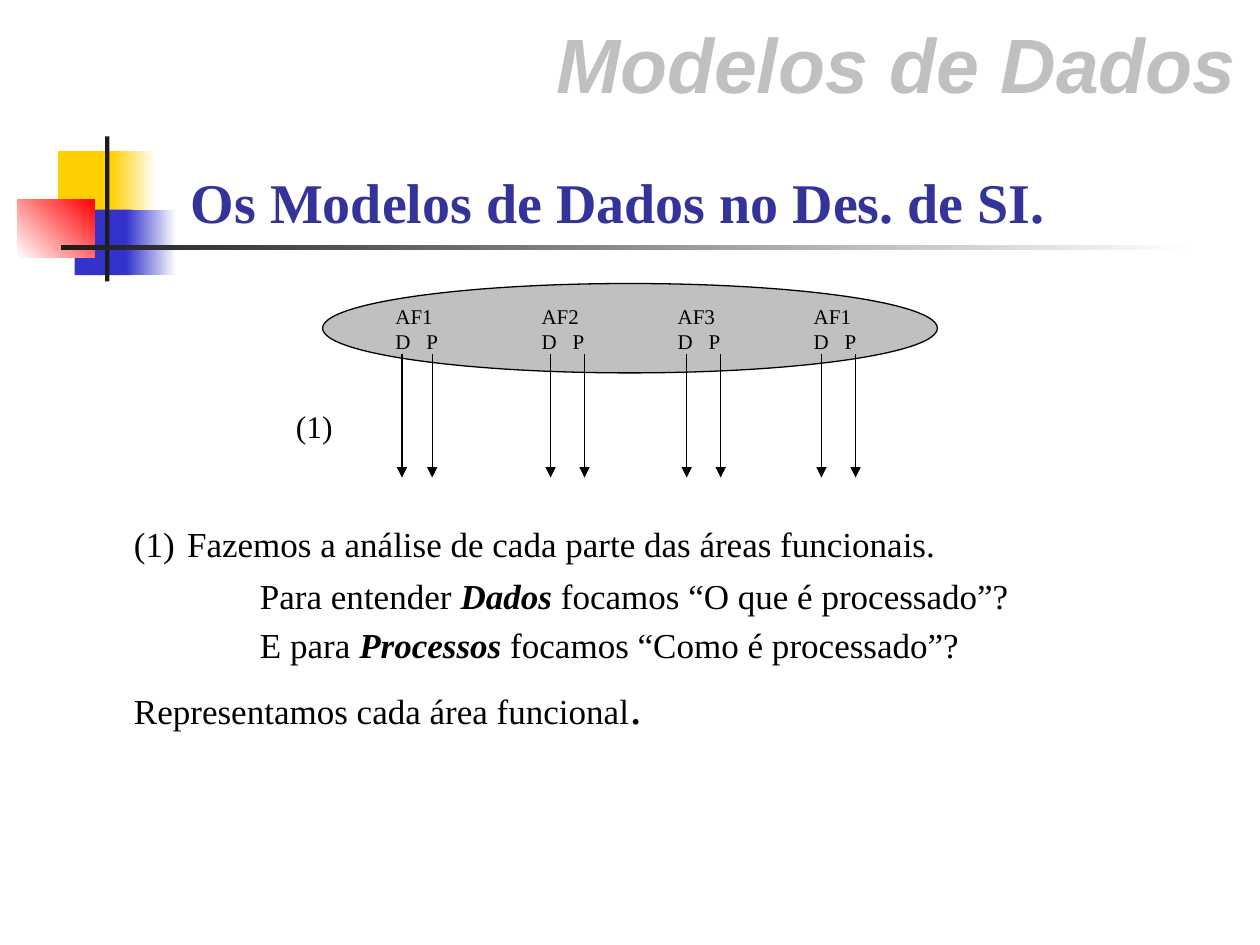
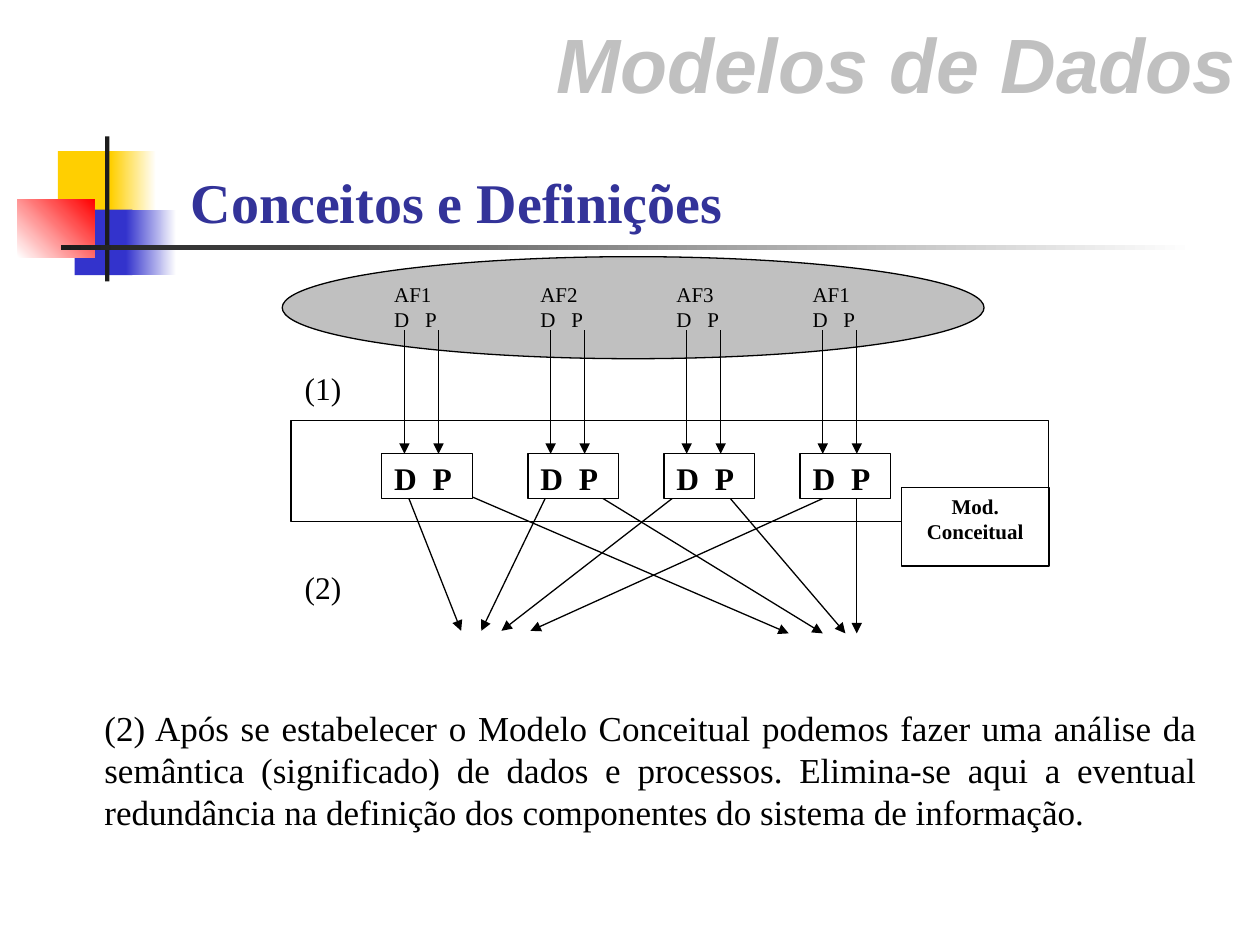
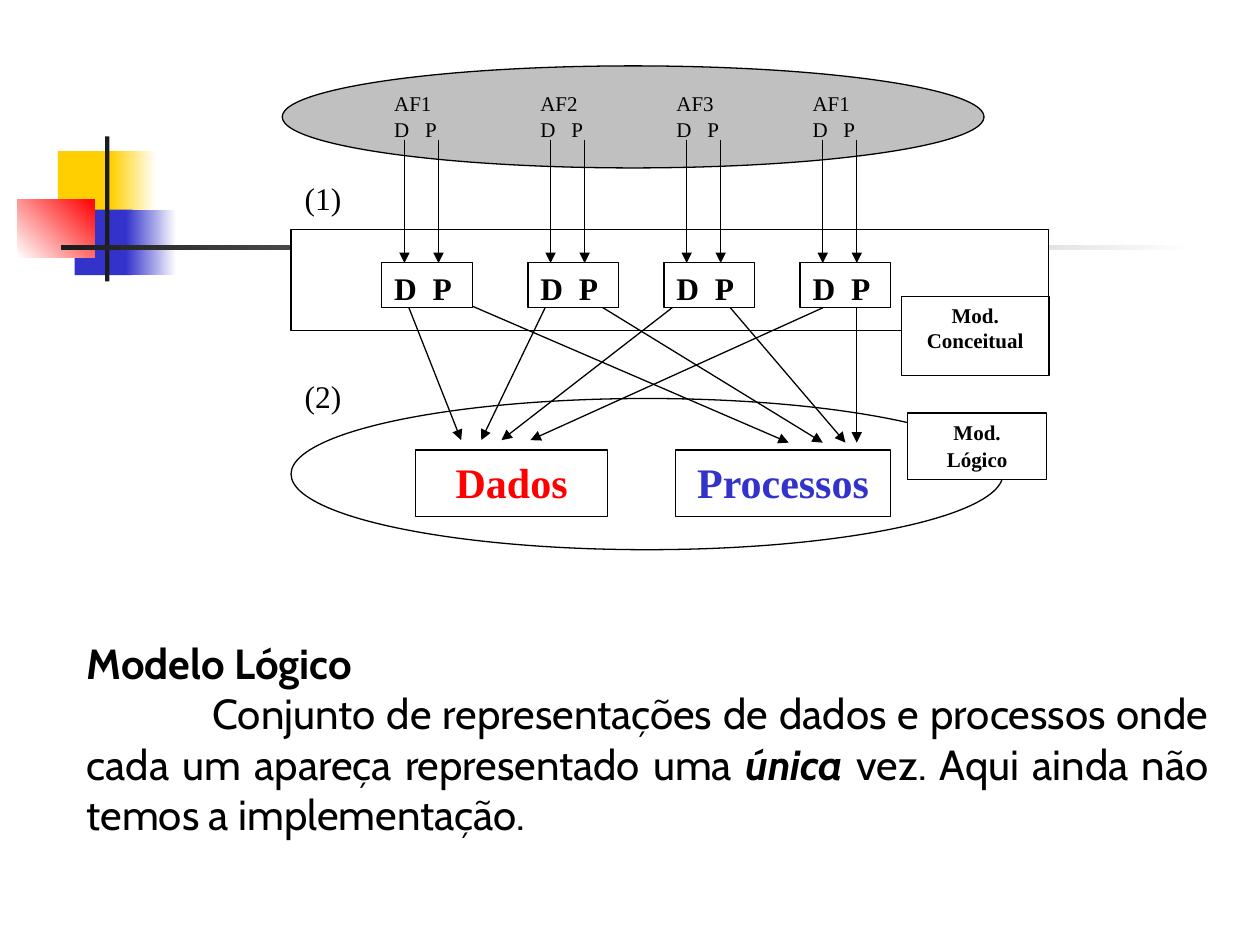
from lxml.etree import SubElement
from pptx import Presentation
from pptx.dml.color import RGBColor
from pptx.enum.shapes import MSO_CONNECTOR, MSO_SHAPE
from pptx.enum.text import MSO_ANCHOR, PP_ALIGN
from pptx.oxml.ns import qn
from pptx.util import Inches, Pt

HUES = {
    "white": "FFFFFF", "black": "000000", "gold": "FFCF01", "blue": "3333CC",
    "red": "FF0000", "ink": "1C1C1C", "gray": "C0C0C0", "navy": "333399",
}
COLS, ROWS = 100, 75
SERIF = "Times New Roman"
AREAS = ("AF1", "AF2", "AF3", "AF1")
STEPS = (0, 11.6, 22.4, 33.2)


def hue(name):
    return RGBColor.from_string(HUES[name])


def pair(gap):
    return [("D", {}), (" ", {"gap": gap}), ("P", {})]


def write(frame, text, font=SERIF, size=12, color="black", bold=False, slant=False,
          align=PP_ALIGN.LEFT, left=0, first=0, before=0):
    lines = text.split("\n") if isinstance(text, str) else [text]
    for line in lines:
        para = frame.paragraphs[-1]
        if para.runs:
            para = frame.add_paragraph()
            para.space_before = Pt(before)
        para.alignment = align
        props = para._p.get_or_add_pPr()
        props.set("marL", str(Inches(left)))
        props.set("indent", str(Inches(first)))
        for words, own in [(line, {})] if isinstance(line, str) else line:
            run = para.add_run()
            run.text = words
            run.font.name = font
            run.font.size = Pt(own.get("size", size))
            run.font.bold = own.get("bold", bold)
            run.font.italic = own.get("slant", slant)
            run.font.color.rgb = hue(color)
            if "gap" in own:
                run._r.get_or_add_rPr().set("spc", str(round(own["gap"] * 100)))


class Deck:
    def __init__(self):
        self.show = Presentation()
        self.show.slide_width, self.show.slide_height = Inches(10), Inches(7.5)
        self.col = self.show.slide_width / COLS
        self.row = self.show.slide_height / ROWS

    def place(self, x, y, *size):
        units = (self.col, self.row) * 2
        return [round(n * unit) for n, unit in zip((x, y, *size), units)]

    def page(self, title=None):
        self.slide = self.show.slides.add_slide(self.show.slide_layouts[6])
        self.block((4.6, 12, 4.8, 5.2), "gold")
        self.block((8.8, 12, 3.6, 5.2), "gold", "white")
        self.block((5.92, 16.64, 4.6, 5.2), "blue")
        self.block((10, 16.64, 4, 5.2), "blue", "white")
        self.block((1.4, 15.8, 6.1, 4.65), "white", "red", angle=45)
        self.block((8.34, 10.83, 0.35, 11.5), "ink")
        self.block((4.83, 19.48, 90, 0.35), "ink", "white")
        if title:
            self.text((14.2, 1.65, 84.95, 7.5), "Modelos de Dados", low=True, font="Arial", size=44,
                      color="gray", bold=True, slant=True, align=PP_ALIGN.RIGHT)
            self.text((14.15, 13.35, 85.8, 5.8), title, low=True, size=32, color="navy", bold=True)

    def block(self, box, fill, fade=None, angle=0, line=False, kind=MSO_SHAPE.RECTANGLE):
        shape = self.slide.shapes.add_shape(kind, *self.place(*box))
        shape.shadow.inherit = False
        if fade:
            shape.fill.gradient()
            shape.fill.gradient_angle = angle
            for stop, name in zip(shape.fill.gradient_stops, (fill, fade)):
                stop.color.rgb = hue(name)
        else:
            shape.fill.solid()
            shape.fill.fore_color.rgb = hue(fill)
        if line:
            shape.line.color.rgb = hue("black")
            shape.line.width = Pt(0.75)
        else:
            shape.line.fill.background()
        return shape

    def oval(self, box, fill):
        self.block(box, fill, line=True, kind=MSO_SHAPE.OVAL)

    def card(self, box, text, **form):
        frame = self.block(box, "white", line=True).text_frame
        frame.word_wrap = True
        frame.vertical_anchor = MSO_ANCHOR.TOP
        write(frame, text, bold=True, **form)

    def text(self, box, text, low=False, **form):
        frame = self.slide.shapes.add_textbox(*self.place(*box)).text_frame
        frame.word_wrap = True
        frame.vertical_anchor = MSO_ANCHOR.BOTTOM if low else MSO_ANCHOR.TOP
        write(frame, text, **form)
        return frame

    def arrow(self, start, end):
        ends = self.place(*start) + self.place(*end)
        link = self.slide.shapes.add_connector(MSO_CONNECTOR.STRAIGHT, *ends)
        link.line.color.rgb = hue("black")
        link.line.width = Pt(0.75)
        props = link._element.spPr
        SubElement(props.find(qn("a:ln")), qn("a:tailEnd"), type="triangle")
        SubElement(props, qn("a:effectLst"))

    def areas(self, x, y):
        for step, name in zip(STEPS, AREAS):
            frame = self.text((x + step, y, 7.2, 7.1), name)
            write(frame, pair(6))

    def drops(self, spots, y):
        for x in spots:
            self.arrow((x, y), (x, y + 9.8))

    def mark(self, x, y, text):
        self.text((x, y, 5.8, 4), text, size=18)

    def flow(self, top, logic=False):
        data = [32.1 + step for step in STEPS]
        acts = [x + 2.7 for x in data]
        self.oval((22.4, top, 55.7, 8.1), "gray")
        self.areas(30.3, top + 1.5)
        self.block((23.1, top + 13, 60.1, 8), "white", line=True)
        self.drops(data + acts, top + 5.85)
        self.card((71.55, top + 18.3, 11.7, 6.25), "Mod.\nConceitual", align=PP_ALIGN.CENTER)
        if logic:
            self.oval((23.1, top + 26.4, 56.5, 12), "white")
            for x, wide, name, color in ((33, 15.2, "Dados", "red"), (53.6, 17.1, "Processos", "blue")):
                self.card((x, top + 30.5, wide, 5.3), name, size=24, color=color, align=PP_ALIGN.CENTER)
        for x, end in zip(data, (36.6, 38.2, 39.8, 42.1)):
            self.arrow((x, top + (19.2 if x == data[-1] else 18.3)), (end, top + 29.7))
        for x, end in zip((35.7, *acts[1:]), (62.6, 65.3, 67.1, 68)):
            self.arrow((x, top + 18.3), (end, top + 29.9))
        for step in STEPS:
            self.card((30.3 + step, top + 15.6, 7.2, 3.6), pair(4.5), size=18)
        self.mark(23.2, top + 8.45, "(1)")
        self.mark(23.2, top + 24.2, "(2)")
        if logic:
            self.card((72.05, top + 27.55, 11, 5.3), "Mod.\nLógico", align=PP_ALIGN.CENTER, before=1)


def first(deck):
    deck.page("Os Modelos de Dados no Des. de SI.")
    deck.oval((25.6, 22.5, 48.8, 7.1), "gray")
    deck.areas(30.4, 23.6)
    deck.drops((31.9, 34.3, 43.7, 46.4, 54.5, 57.2, 65.2, 67.9), 28.1)
    deck.mark(22.5, 31.8, "(1)")
    strong = {"bold": True, "slant": True}
    large = {"size": 28}
    body = deck.text((5.85, 39.9, 92.5, 31.9), [
        ("(1)", {}), (" ", large), ("Fazemos a análise de cada parte das áreas funcionais.", {}),
    ], size=20, left=0.38)
    for lead, key, rest in (
        ("Para entender ", "Dados", " focamos “O que é processado”?"),
        ("E para ", "Processos", " focamos “Como é processado”?"),
    ):
        write(body, [(lead, {}), (key, strong), (rest, {})], size=20, left=1.38, before=4)
    write(body, [("Representamos cada área funcional", {}), (".", large)],
          size=20, left=0.38, before=5.5)


def second(deck):
    deck.page("Conceitos e Definições")
    deck.text((3.5, 55.6, 92.5, 13.4),
              "(2) Após se estabelecer o Modelo Conceitual podemos fazer uma análise da semântica "
              "(significado) de dados e processos. Elimina-se aqui a eventual redundância na "
              "definição dos componentes do sistema de informação.",
              size=20, left=0.38, align=PP_ALIGN.JUSTIFY)
    deck.flow(20.37)


def third(deck):
    deck.page()
    form = {"font": "Cabin", "size": 24}
    body = deck.text((5.9, 50.1, 91, 23), "Modelo Lógico", bold=True, **form)
    write(body, [
        ("Conjunto de representações de dados e processos onde cada um apareça representado uma ", {}),
        ("única", {"bold": True, "slant": True}),
        (" vez. Aqui ainda não temos a implementação.", {}),
    ], first=1, align=PP_ALIGN.JUSTIFY, **form)
    deck.flow(5.23, logic=True)


def main():
    deck = Deck()
    for build in (first, second, third):
        build(deck)
    deck.show.save("out.pptx")


if __name__ == "__main__":
    main()
